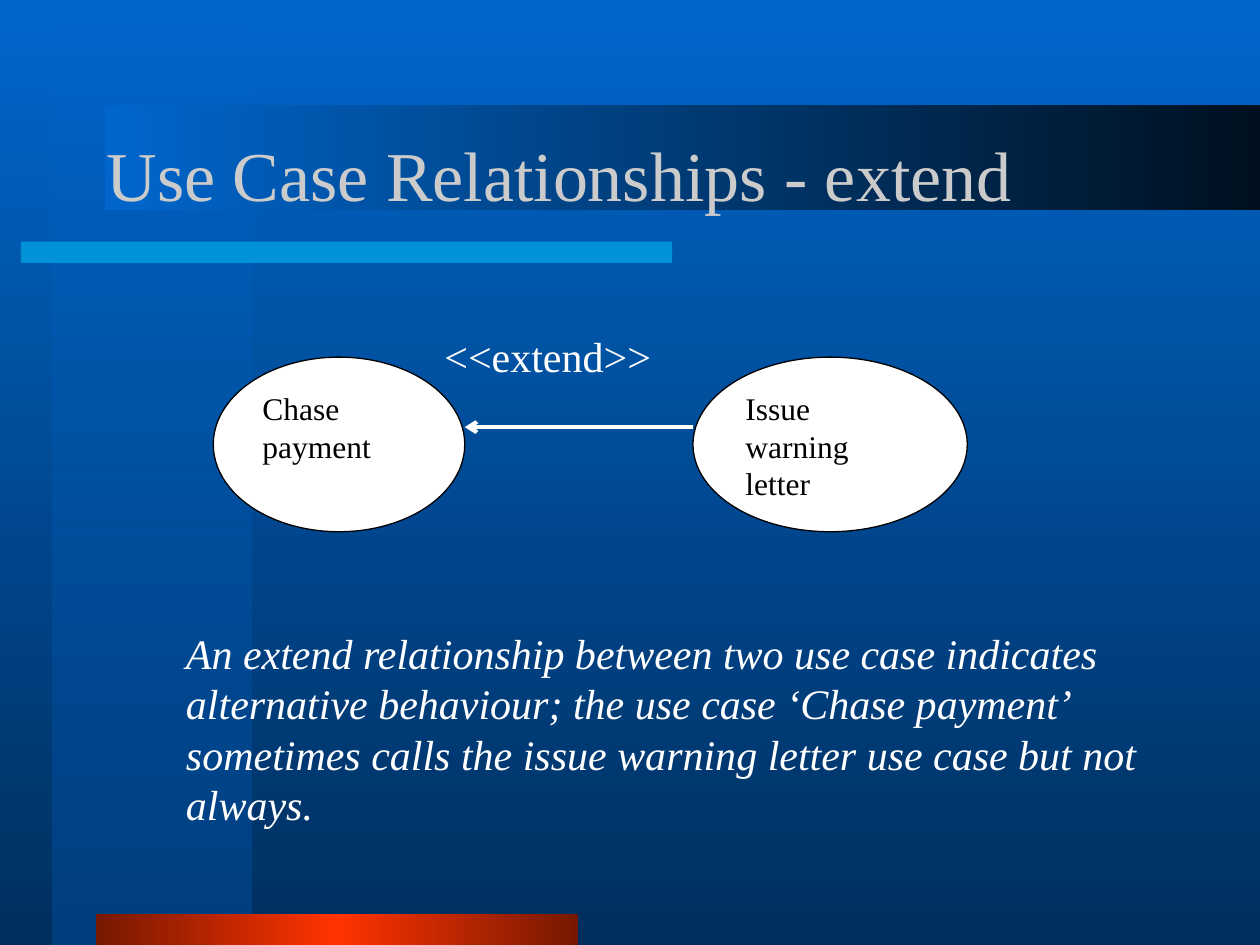
import pptx
import pptx.dml.color
import pptx.enum.shapes
import pptx.enum.text
import pptx.oxml
import pptx.oxml.ns
import pptx.util
from pptx.util import Cm

FONT = "Times New Roman"
WHITE, BLACK, GREY = "FFFFFF", "000000", "CBCBCB"
SHAPE = pptx.enum.shapes.MSO_SHAPE
ANCHOR = pptx.enum.text.MSO_ANCHOR
DOWN, RIGHT = 270, 0  # gradient angles, counter-clockwise


def rgb(color):
    return pptx.dml.color.RGBColor.from_string(color)


def add_child(parent, tag, **attrs):
    child = pptx.oxml.parse_xml(f'<{tag} {pptx.oxml.ns.nsdecls("a")}/>')
    for name, value in attrs.items():
        child.set(name, str(value))
    parent.append(child)
    return child


def set_gradient(fill, element, angle, stops):
    """Fill with (position %, colour, opacity %) stops; element holds the fill."""
    fill.gradient()
    fill.gradient_angle = angle
    gs_lst = element.xpath(".//a:gsLst")[0]
    for gs in list(gs_lst):
        gs_lst.remove(gs)
    for pos, color, opacity in stops:
        gs = add_child(gs_lst, "a:gs", pos=pos * 1000)
        clr = add_child(gs, "a:srgbClr", val=color)
        if opacity < 100:
            add_child(clr, "a:alpha", val=opacity * 1000)


def add_plain_shape(slide, kind, left, top, width, height):
    sp = slide.shapes.add_shape(kind, Cm(left), Cm(top), Cm(width), Cm(height))
    sp.shadow.inherit = False
    sp.line.fill.background()
    return sp


def add_gradient_band(slide, box, angle, stops):
    sp = add_plain_shape(slide, SHAPE.RECTANGLE, *box)
    set_gradient(sp.fill, sp.element, angle, stops)


def add_translucent_bar(slide, box, color, opacity):
    sp = add_plain_shape(slide, SHAPE.RECTANGLE, *box)
    sp.fill.solid()
    sp.fill.fore_color.rgb = rgb(color)
    clr = sp.element.xpath("./p:spPr/a:solidFill/a:srgbClr")[0]
    add_child(clr, "a:alpha", val=opacity * 1000)


def write_text(sp, text, size, color, anchor=ANCHOR.TOP, italic=False, before=0):
    tf = sp.text_frame
    tf.word_wrap = True
    tf.auto_size = pptx.enum.text.MSO_AUTO_SIZE.NONE
    tf.vertical_anchor = anchor
    p = tf.paragraphs[0]
    p.alignment = pptx.enum.text.PP_ALIGN.LEFT
    p.space_before = pptx.util.Pt(before)
    r = p.add_run()
    r.text = text
    r.font.name = FONT
    r.font.size = pptx.util.Pt(size)
    r.font.italic = italic
    r.font.color.rgb = rgb(color)


def add_title(slide, text, left, top, width, height):
    """Fill the title placeholder and bring it in front of the bands."""
    title = slide.shapes.title
    title.left, title.top = Cm(left), Cm(top)
    title.width, title.height = Cm(width), Cm(height)
    write_text(title, text, 40, GREY, ANCHOR.MIDDLE)
    title.element.getparent().append(title.element)


def add_use_case(slide, text, left, top, width, height):
    sp = add_plain_shape(slide, SHAPE.OVAL, left, top, width, height)
    sp.fill.solid()
    sp.fill.fore_color.rgb = rgb(WHITE)
    sp.line.color.rgb = rgb(BLACK)
    sp.line.width = pptx.util.Pt(0.75)
    write_text(sp, text, 18, BLACK)


def add_arrow(slide, tip, end, y):
    line = slide.shapes.add_connector(
        pptx.enum.shapes.MSO_CONNECTOR.STRAIGHT, Cm(tip), Cm(y), Cm(end), Cm(y))
    line.line.color.rgb = rgb(WHITE)
    line.line.width = pptx.util.Pt(2.25)
    add_child(line.line._get_or_add_ln(), "a:headEnd", type="arrow")
    add_child(line.element.spPr, "a:effectLst")


def add_text(slide, text, left, top, width, height, italic=False):
    sp = slide.shapes.add_textbox(Cm(left), Cm(top), Cm(width), Cm(height))
    write_text(sp, text, 24, WHITE, italic=italic, before=15)


def add_backdrop(slide):
    set_gradient(slide.background.fill, slide.element, DOWN,
                 [(0, "0066CC", 100), (100, "002F5E", 100)])
    add_gradient_band(slide, (1.06, 0, 4.02, 19.05), DOWN,
                      [(0, "0066CC", 50), (100, "003F7E", 100)])
    add_translucent_bar(slide, (0.42, 4.87, 13.13, 0.43), "00CCFF", 50)
    add_gradient_band(slide, (1.93, 18.42, 9.72, 0.63), RIGHT,
                      [(0, "761800", 100), (50, "FF3300", 100), (100, "761800", 100)])
    add_gradient_band(slide, (2.12, 2.12, 23.28, 2.12), RIGHT,
                      [(0, "0066CC", 100), (100, "00101F", 100)])


def main():
    prs = pptx.Presentation()
    prs.slide_width, prs.slide_height = Cm(25.4), Cm(19.05)
    slide = prs.slides.add_slide(prs.slide_layouts[5])

    add_backdrop(slide)
    add_title(slide, "Use Case Relationships - extend", 1.9, 2.13, 21.6, 2.75)
    add_use_case(slide, "Chase payment", 4.3, 7.2, 5.07, 3.52)
    add_use_case(slide, "Issue warning letter", 13.97, 7.2, 5.53, 3.52)
    add_arrow(slide, 9.37, 13.97, 8.61)
    add_text(slide, "<<extend>>", 8.71, 6.53, 5.8, 1.27)
    add_text(slide,
             "An extend relationship between two use case indicates alternative "
             "behaviour; the use case ‘Chase payment’ sometimes calls the issue "
             "warning letter use case but not always.",
             3.5, 12.52, 19.8, 4.32, italic=True)

    prs.save("out.pptx")


if __name__ == "__main__":
    main()
